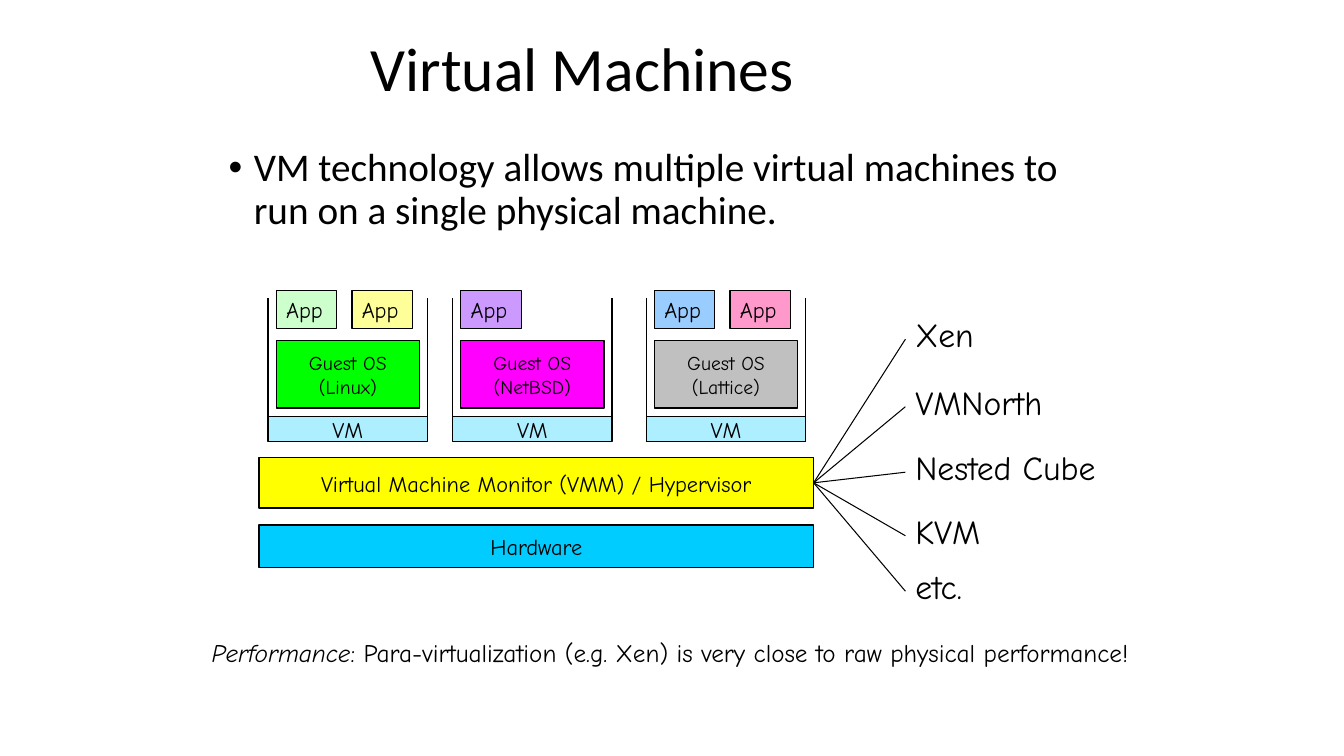
from lxml.etree import SubElement
from pptx import Presentation
from pptx.dml.color import RGBColor
from pptx.enum.shapes import MSO_CONNECTOR as Connector, MSO_SHAPE as Shape
from pptx.enum.text import MSO_ANCHOR as Anchor, PP_ALIGN as Align
from pptx.oxml.ns import qn
from pptx.util import Inches, Pt


def color(value):
    return RGBColor.from_string(value)


def write(shape, text, size=16, font="Comic Neue", align=Align.LEFT,
          anchor=Anchor.TOP, spacing=0.9, wrap=True, bullet=False, lead=""):
    frame = shape.text_frame
    frame.word_wrap = wrap
    frame.vertical_anchor = anchor
    for index, line in enumerate(text.split("\n")):
        paragraph = frame.add_paragraph() if index else frame.paragraphs[0]
        if bullet:
            properties = paragraph._p.get_or_add_pPr()
            properties.set("marL", str(Inches(0.25)))
            properties.set("indent", str(Inches(-0.25)))
            SubElement(properties, qn("a:buFont"), typeface="Arial")
            SubElement(properties, qn("a:buChar"), char="•")
        paragraph.alignment = align
        paragraph.line_spacing = spacing
        for part, italic in ((lead, True), (line, False)):
            if part:
                run = paragraph.add_run()
                run.text = part
                run.font.name = font
                run.font.size = Pt(size)
                run.font.italic = italic
                run.font.color.rgb = color("000000")


class Diagram:
    ink = "000000"

    def __init__(self, slide):
        self.slide = slide

    def text(self, left, top, width, height, text, **style):
        shape = self.slide.shapes.add_textbox(
            Inches(left), Inches(top), Inches(width), Inches(height))
        write(shape, text, **style)
        return shape

    def box(self, left, top, width, height, fill, text, alpha=None,
            align=Align.CENTER, anchor=Anchor.MIDDLE, **style):
        shape = self.slide.shapes.add_shape(
            Shape.RECTANGLE, Inches(left), Inches(top), Inches(width), Inches(height))
        shape.shadow.inherit = False
        shape.fill.solid()
        shape.fill.fore_color.rgb = color(fill)
        if alpha:
            fill_color = shape._element.spPr.find(qn("a:solidFill"))[0]
            SubElement(fill_color, qn("a:alpha"), val=str(alpha * 1000))
        shape.line.color.rgb = color(self.ink)
        shape.line.width = Pt(1)
        write(shape, text, align=align, anchor=anchor, spacing=1.02, wrap=False, **style)
        return shape

    def line(self, start=(0, 0), end=(0, 0), width=1.0):
        connector = self.slide.shapes.add_connector(
            Connector.STRAIGHT, *(Inches(value) for value in (*start, *end)))
        connector.line.color.rgb = color(self.ink)
        connector.line.width = Pt(width)
        SubElement(connector._element.spPr, qn("a:effectLst"))
        return connector

    def link(self, source, target):
        connector = self.line(width=0.75)
        connector.begin_connect(source, 3)
        connector.end_connect(target, 1)

    def machine(self, left, system, fill, app_fills):
        right, top, bottom = left + 1.58, 2.96, 4.38
        self.box(left + 0.08, 3.38, 1.42, 0.67, fill, f"Guest OS\n({system})", size=14)
        self.line((left, top), (left, bottom))
        self.line((right, top), (right, bottom))
        self.line((left, bottom), (right, bottom))
        self.box(left, 4.13, 1.58, 0.25, "00CCFF", "VM", alpha=32)
        for index, app_fill in enumerate(app_fills):
            self.box(left + 0.08 + 0.75 * index, 2.88, 0.6, 0.38, app_fill, "App",
                     align=Align.LEFT, anchor=Anchor.TOP)


MACHINES = [
    (2.66, "Linux", "00FF00", ["CCFFCC", "FFFF99"]),
    (4.49, "NetBSD", "FF00FF", ["CC99FF"]),
    (6.41, "Lattice", "C0C0C0", ["99CCFF", "FF99CC"]),
]
HYPERVISORS = [
    (3.11, "Xen"),
    (3.78, "VMNorth"),
    (4.43, "Nested Cube"),
    (5.06, "KVM"),
    (5.61, "etc."),
]


def main():
    presentation = Presentation()
    presentation.slide_width = Inches(13.33)
    presentation.slide_height = Inches(7.5)
    slide = presentation.slides.add_slide(presentation.slide_layouts[6])
    diagram = Diagram(slide)

    diagram.text(3.58, 0.08, 7.92, 1.25, "Virtual Machines",
                 size=44, font="Calibri", anchor=Anchor.MIDDLE)
    diagram.text(2.17, 1.42, 9, 5.28,
                 "VM technology allows multiple virtual machines to run on a single "
                 "physical machine.", size=28, font="Calibri", bullet=True)

    diagram.box(2.57, 5.21, 5.5, 0.42, "00CCFF", "Hardware")
    monitor = diagram.box(2.57, 4.54, 5.5, 0.5, "FFFF00",
                          "Virtual Machine Monitor (VMM) / Hypervisor")
    for machine in MACHINES:
        diagram.machine(*machine)
    for top, name in HYPERVISORS:
        label = diagram.text(8.98, top, 2.63, 0.51, name, size=24)
        diagram.link(monitor, label)

    diagram.text(2, 6.31, 9.67, 0.67,
                 ": Para-virtualization (e.g. Xen) is very close to raw physical "
                 "performance!", size=18, lead="Performance")
    presentation.save("out.pptx")


if __name__ == "__main__":
    main()
